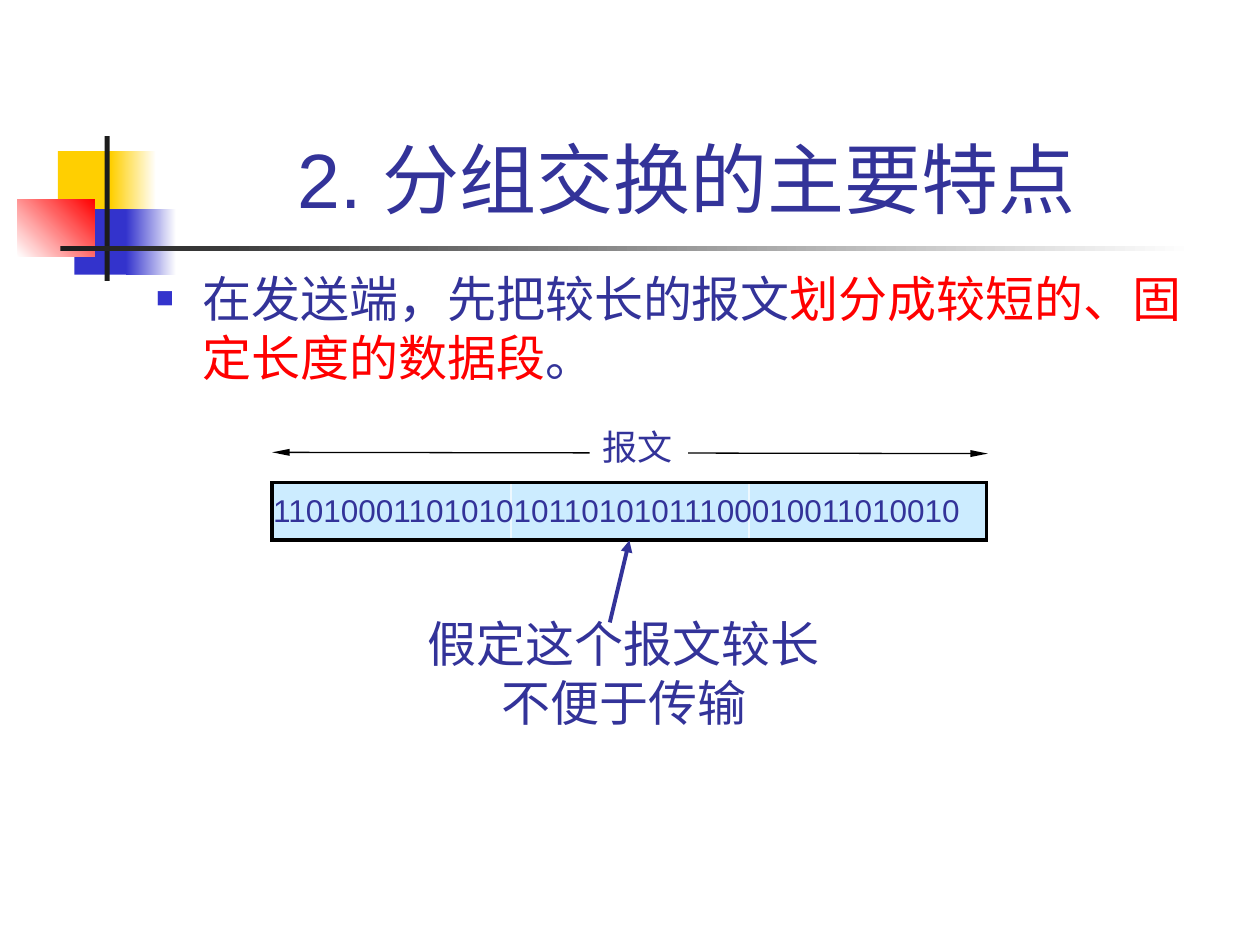
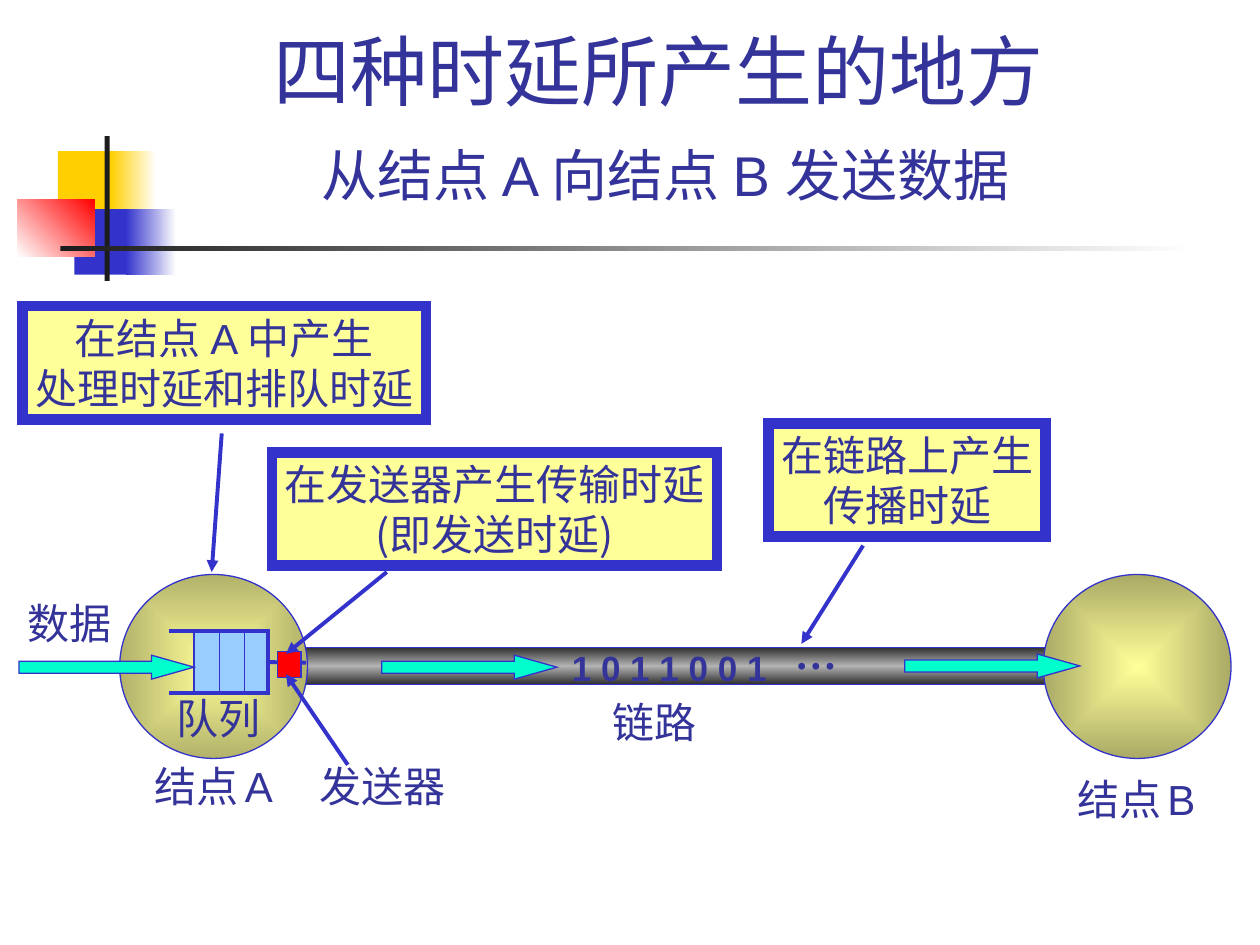
"""Build two slides on packet switching and the four kinds of delay."""
from dataclasses import dataclass
from typing import NamedTuple, Optional, Union

from lxml.etree import SubElement
from pptx import Presentation
from pptx.dml.color import RGBColor
from pptx.enum.shapes import MSO_CONNECTOR, MSO_SHAPE
from pptx.enum.text import MSO_ANCHOR, MSO_AUTO_SIZE, PP_ALIGN
from pptx.oxml.ns import qn
from pptx.shapes.autoshape import Shape
from pptx.shapes.connector import Connector
from pptx.slide import Slide
from pptx.text.text import Font
from pptx.util import Pt

SCALE = 9144


@dataclass(frozen=True)
class Theme:
    ink: str = "333399"
    blue: str = "3333CC"
    gold: str = "FFCF01"
    red: str = "FF0000"
    dark: str = "1C1C1C"
    white: str = "FFFFFF"
    black: str = "000000"
    pale: str = "CCECFF"
    sky: str = "99CCFF"
    cream: str = "FFFF99"
    mint: str = "00FFCC"
    steel: str = "313131"
    grey: str = "B2B2B2"
    olive: str = "B2B26B"
    moss: str = "AAAA66"
    sans: str = "Arial"
    serif: str = "Times New Roman"
    robot: str = "Roboto"
    noto: str = "Noto Sans CJK SC"
    head: int = 44
    sub: int = 32
    body: int = 28
    note: int = 24
    mark: int = 20
    bits: int = 18
    gap: int = 16
    thin: float = 0.75
    bold: float = 2.25
    edge: float = 6


T = Theme()


class Rect(NamedTuple):
    x: int
    y: int
    w: int
    h: int


class Fade(NamedTuple):
    stops: tuple[str, ...]
    angle: Optional[int] = 0


class Line(NamedTuple):
    color: str
    width: float


class Look(NamedTuple):
    size: int
    font: str = T.serif
    bold: bool = False
    color: str = T.ink


class Run(NamedTuple):
    text: str
    look: Look


class Item(NamedTuple):
    rect: Rect
    fill: Union[str, Fade, None]
    line: Optional[Line] = None
    kind: MSO_SHAPE = MSO_SHAPE.RECTANGLE


class Label(NamedTuple):
    rect: Rect
    rows: tuple[Union[str, tuple[Run, ...]], ...]
    look: Look
    mid: bool = False


class Arrow(NamedTuple):
    x1: int
    y1: int
    x2: int
    y2: int


Ends = tuple[str, ...]
THIN = Line(T.blue, T.thin)
THICK = Line(T.blue, T.bold)
EDGE = Line(T.blue, T.edge)
NOTE = Look(T.note)
DECOR = (
    Item(Rect(46, 120, 48, 52), T.gold),
    Item(Rect(88, 120, 36, 52), Fade((T.gold, T.white))),
    Item(Rect(59, 166, 46, 52), T.blue),
    Item(Rect(100, 166, 40, 52), Fade((T.blue, T.white))),
    Item(Rect(14, 158, 61, 46), Fade((T.white, T.red), 315)),
    Item(Rect(83, 108, 4, 115), T.dark),
    Item(Rect(48, 195, 900, 4), Fade((T.dark, T.white))),
)


def px(n: int) -> int:
    """Turn px into EMU."""
    return n * SCALE


def shade(shape: Shape, fade: Fade) -> None:
    """Fill a shape with evenly spaced gradient stops."""
    shape.fill.gradient()
    grad = shape._element.spPr.find(qn("a:gradFill"))
    for child in list(grad):
        grad.remove(child)
    stops = SubElement(grad, qn("a:gsLst"))
    for i, color in enumerate(fade.stops):
        stop = SubElement(stops, qn("a:gs"), pos=str(i * 100000 // (len(fade.stops) - 1)))
        SubElement(stop, qn("a:srgbClr"), val=color)
    if fade.angle is None:
        way = SubElement(grad, qn("a:path"), path="rect")
        SubElement(way, qn("a:fillToRect"), dict.fromkeys("ltrb", "50000"))
    else:
        SubElement(grad, qn("a:lin"), ang=str(fade.angle * 60000), scaled="0")


def paint(shape: Shape, fill: Union[str, Fade, None], line: Optional[Line]) -> None:
    """Set fill and square-cornered outline and drop the shadow."""
    shape.shadow.inherit = False
    if isinstance(fill, Fade):
        shade(shape, fill)
    elif fill:
        shape.fill.solid()
        shape.fill.fore_color.rgb = RGBColor.from_string(fill)
    else:
        shape.fill.background()
    if line:
        shape.line.color.rgb = RGBColor.from_string(line.color)
        shape.line.width = Pt(line.width)
        SubElement(shape.line._get_or_add_ln(), qn("a:miter"), lim="800000")
    else:
        shape.line.fill.background()


def draw(slide: Slide, item: Item) -> Shape:
    """Draw one preset shape."""
    shape = slide.shapes.add_shape(item.kind, *map(px, item.rect))
    paint(shape, item.fill, item.line)
    return shape


def link(slide: Slide, a: Arrow, line: Line, ends: Ends = (), sizes: tuple[str, str] = ("med", "med")) -> Connector:
    """Draw a straight line with arrowheads at the named ends."""
    wire = slide.shapes.add_connector(MSO_CONNECTOR.STRAIGHT, *map(px, a))
    wire.line.color.rgb = RGBColor.from_string(line.color)
    wire.line.width = Pt(line.width)
    for end in ends:
        SubElement(wire.line._get_or_add_ln(), qn(f"a:{end}"), type="triangle", w=sizes[0], len=sizes[1])
    SubElement(wire._element.spPr, qn("a:effectLst"))
    return wire


def style(font: Font, look: Look) -> None:
    """Apply a look to a font."""
    font.size = Pt(look.size)
    font.name = look.font
    font.bold = look.bold
    font.color.rgb = RGBColor.from_string(look.color)


def write(shape: Shape, label: Label, wrap: bool = False, low: bool = False, dot: bool = False) -> None:
    """Write the rows of a label into a shape."""
    frame = shape.text_frame
    frame.word_wrap = wrap
    frame.auto_size = MSO_AUTO_SIZE.NONE if wrap else MSO_AUTO_SIZE.SHAPE_TO_FIT_TEXT
    frame.vertical_anchor = MSO_ANCHOR.BOTTOM if low else MSO_ANCHOR.TOP
    for i, row in enumerate(label.rows):
        para = frame.add_paragraph() if i else frame.paragraphs[0]
        para.alignment = PP_ALIGN.CENTER if label.mid else PP_ALIGN.LEFT
        if dot:
            props = para._p.get_or_add_pPr()
            props.set("marL", str(px(37)))
            props.set("indent", str(px(-37)))
            SubElement(SubElement(props, qn("a:buClr")), qn("a:srgbClr"), val=T.blue)
            SubElement(props, qn("a:buSzPct"), val="60000")
            SubElement(props, qn("a:buFont"), typeface=T.sans)
            SubElement(props, qn("a:buChar"), char="■")
        if isinstance(row, str):
            para.add_run().text = row
            style(para.font, label.look)
        else:
            for part in row:
                run = para.add_run()
                run.text = part.text
                style(run.font, part.look)


def put(slide: Slide, label: Label, wrap: bool = False, low: bool = False, dot: bool = False) -> None:
    """Place a label as a text box."""
    write(slide.shapes.add_textbox(*map(px, label.rect)), label, wrap, low, dot)


def card(slide: Slide, label: Label, fill: str = T.cream, line: Optional[Line] = EDGE) -> None:
    """Place a label on a filled box."""
    write(draw(slide, Item(label.rect, fill, line)), label)


def start(deck: Presentation, title: str, rect: Rect) -> Slide:
    """Add a blank slide with the shared decoration and title."""
    slide = deck.slides.add_slide(deck.slide_layouts[6])
    for item in DECOR:
        draw(slide, item)
    put(slide, Label(rect, (title,), Look(T.head, T.sans), True), wrap=True, low=True)
    return slide


def split(deck: Presentation) -> None:
    """Build the slide on cutting a message into segments."""
    slide = start(deck, "2. 分组交换的主要特点 ", Rect(126, 23, 852, 160))
    link(slide, Arrow(216, 359, 784, 360), Line(T.black, T.thin), ("headEnd", "tailEnd"), ("sm", "lg"))
    card(slide, Label(Rect(468, 333, 78, 44), ("报文",), Look(T.mark)), T.white, None)
    body = Look(T.body, T.sans)
    row = (
        Run("在发送端，先把较长的报文", body),
        Run("划分成较短的、固定长度的数据段", body._replace(color=T.red)),
        Run("。", body),
    )
    put(slide, Label(Rect(114, 208, 850, 450), (row,), body), wrap=True, dot=True)
    for i in range(3):
        draw(slide, Item(Rect(217 + 189 * i, 383, 188, 46), T.pale))
    frame = draw(slide, Item(Rect(216, 383, 567, 46), None, Line(T.black, T.bold)))
    bits = "1101000110101010110101011100010011010010"
    put(slide, Label(Rect(207, 385, 576, 40), (bits,), Look(T.bits, T.sans)))
    rows = ("假定这个报文较长", "不便于传输")
    put(slide, Label(Rect(327, 482, 336, 104), rows, Look(T.body, T.robot), True))
    wire = link(slide, Arrow(484, 494, 499, 429), Line(T.ink, T.bold), ("tailEnd",))
    wire.end_connect(frame, 2)


def delay(deck: Presentation) -> None:
    """Build the slide on where the four delays arise."""
    slide = start(deck, "四种时延所产生的地方 ", Rect(138, 13, 784, 84))
    draw(slide, Item(Rect(234, 514, 604, 29), Fade((T.steel, T.grey, T.steel), 90), THIN))
    for x, rim in ((95, T.olive), (828, T.moss)):
        draw(slide, Item(Rect(x, 456, 149, 146), Fade((T.cream, rim), None), THIN, MSO_SHAPE.OVAL))
    queue = draw(slide, Item(Rect(154, 501, 59, 49), T.sky, THIN))
    rail = slide.shapes.build_freeform(134, 501, scale=SCALE)
    rail.add_line_segments([(213, 501), (213, 550), (134, 550)], close=False)
    paint(rail.convert_to_shape(), None, THICK)
    for x in range(154, 213, 20):
        link(slide, Arrow(x, 501, x, 550), THIN)
    link(slide, Arrow(213, 526, 243, 526), THICK).begin_connect(queue, 3)
    draw(slide, Item(Rect(220, 517, 19, 21), T.red, THIN))
    for x, y in ((303, 520), (15, 520), (718, 519)):
        arrow = draw(slide, Item(Rect(x, y, 139, 19), T.mint, THIN, MSO_SHAPE.RIGHT_ARROW))
        arrow.adjustments[1] = 1.78
    plain = Look(T.note, T.sans)
    space = Run(" ", Look(T.gap, T.sans))
    labels = [
        Label(Rect(444, 508, 175, 44), ("1 0 1 1 0 0 1",), Look(T.mark, T.sans, True)),
        Label(Rect(621, 493, 56, 50), ("…",), Look(T.note, bold=True)),
        Label(Rect(244, 599, 124, 50), ("发送器",), NOTE),
        Label(Rect(130, 545, 90, 50), ("队列",), NOTE),
        Label(Rect(12, 469, 90, 50), ("数据",), NOTE),
        Label(Rect(476, 548, 90, 50), ("链路",), NOTE),
        Label(Rect(245, 107, 611, 64), ("从结点 A 向结点 B 发送数据",), Look(T.sub, T.sans)),
    ]
    for x, y, name in ((845, 609, "B"), (113, 599, "A")):
        row = (Run("结点", NOTE), space, Run(name, plain))
        labels.append(Label(Rect(x, y, 124, 50), (row,), NOTE))
    for label in labels:
        put(slide, label)
    noto = Look(T.note, T.noto)
    first = (Run("在结点 ", noto), Run("A ", plain), Run("中产生", noto))
    for rect, rows in (
        (Rect(610, 336, 220, 90), ("在链路上产生", "传播时延")),
        (Rect(216, 359, 353, 90), ("在发送器产生传输时延", "(即发送时延)")),
        (Rect(18, 243, 320, 90), (first, "处理时延和排队时延")),
    ):
        card(slide, Label(rect, rows, noto, True))
    for arrow in (
        Arrow(685, 433, 636, 511),
        Arrow(307, 454, 227, 519),
        Arrow(276, 607, 227, 535),
        Arrow(176, 344, 168, 454),
    ):
        link(slide, arrow, THICK, ("tailEnd",))


def main() -> None:
    """Build and save the deck."""
    deck = Presentation()
    deck.slide_width, deck.slide_height = px(1000), px(750)
    split(deck)
    delay(deck)
    deck.save("out.pptx")


if __name__ == "__main__":
    main()
